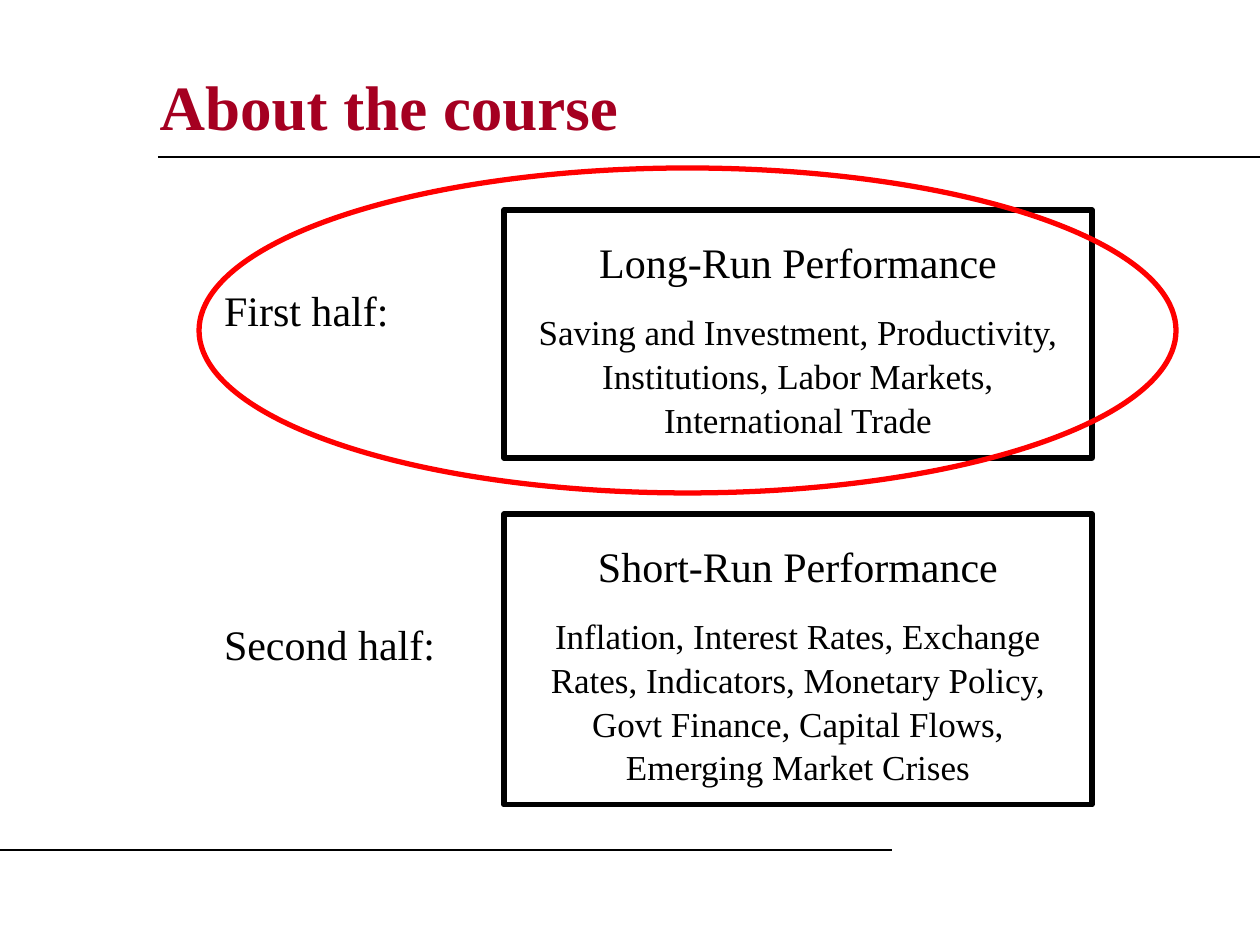
from dataclasses import dataclass

from lxml import etree
from pptx import Presentation
from pptx.dml.color import RGBColor
from pptx.enum.shapes import MSO_CONNECTOR, MSO_SHAPE
from pptx.enum.text import MSO_ANCHOR, PP_ALIGN
from pptx.oxml.ns import qn
from pptx.util import Emu, Pt

STRAIGHT = MSO_CONNECTOR.STRAIGHT
RECTANGLE, OVAL = MSO_SHAPE.RECTANGLE, MSO_SHAPE.OVAL
TOP, MIDDLE = MSO_ANCHOR.TOP, MSO_ANCHOR.MIDDLE
LEFT, CENTER = PP_ALIGN.LEFT, PP_ALIGN.CENTER

BLACK = RGBColor(0x00, 0x00, 0x00)
RED = RGBColor(0xFF, 0x00, 0x00)
CRIMSON = RGBColor(0xA5, 0x00, 0x21)
FONT = "Times New Roman"
EMU_PER_PX = 914400 // 126
INSET = 25


@dataclass(frozen=True)
class Box:
    left: int
    top: int
    width: int
    height: int


@dataclass(frozen=True)
class Half:
    label: str
    label_box: Box
    label_spacing: float
    heading: str
    topics: str
    topic_box: Box


HALVES = [
    Half("First half:", Box(199, 294, 294, 76), 0.5, "Long-Run Performance",
         "Saving and Investment, Productivity, Institutions, Labor Markets, "
         "International Trade", Box(504, 210, 588, 248)),
    Half("Second half:", Box(199, 592, 294, 101), 1.04, "Short-Run Performance",
         "Inflation, Interest Rates, Exchange Rates, Indicators, Monetary Policy, "
         "Govt Finance, Capital Flows, Emerging Market Crises",
         Box(504, 514, 588, 291)),
]
RULES = [Box(158, 157, 1102, 0), Box(0, 850, 892, 0)]
HIGHLIGHT = Box(199, 168, 977, 325)


def px(length: int) -> Emu:
    return Emu(length * EMU_PER_PX)


def place(box: Box) -> tuple[Emu, ...]:
    return px(box.left), px(box.top), px(box.width), px(box.height)


def apply(target, values: dict) -> None:
    for name, value in values.items():
        setattr(target, name, value)


def format_text(paragraph, text: str, size: int, align=LEFT, color=BLACK,
                bold=False, spacing=1.04, before=0) -> None:
    paragraph.text = text
    apply(paragraph, {"alignment": align, "line_spacing": spacing,
                      "space_before": Pt(before)})
    apply(paragraph.runs[0].font, {"name": FONT, "size": Pt(size), "bold": bold})
    paragraph.runs[0].font.color.rgb = color


def set_frame(frame, inset: int) -> None:
    apply(frame, {"word_wrap": True, "vertical_anchor": TOP,
                  "margin_left": px(inset), "margin_right": px(inset),
                  "margin_top": px(inset), "margin_bottom": px(inset)})


def add_outline(slide, kind, box: Box, color: RGBColor):
    shape = slide.shapes.add_shape(kind, *place(box))
    shape.shadow.inherit = False
    shape.fill.background()
    shape.line.color.rgb = color
    shape.line.width = Pt(3)
    return shape


def add_rule(slide, box: Box) -> None:
    line = slide.shapes.add_connector(
        STRAIGHT, px(box.left), px(box.top),
        px(box.left + box.width), px(box.top + box.height))
    line.line.color.rgb = BLACK
    line.line.width = Pt(0.75)
    etree.SubElement(line._element.spPr, qn("a:effectLst"))


def add_half(slide, half: Half) -> None:
    frame = add_outline(slide, RECTANGLE, half.topic_box, BLACK).text_frame
    set_frame(frame, INSET)
    format_text(frame.paragraphs[0], half.heading, 24, CENTER)
    format_text(frame.add_paragraph(), half.topics, 20, CENTER, before=12.5)

    label = slide.shapes.add_textbox(*place(half.label_box)).text_frame
    set_frame(label, INSET)
    format_text(label.paragraphs[0], half.label, 24, spacing=half.label_spacing)


def main() -> None:
    presentation = Presentation()
    presentation.slide_width, presentation.slide_height = px(1260), px(945)
    slide = presentation.slides.add_slide(presentation.slide_layouts[5])

    # Title
    title = slide.shapes.title
    apply(title, dict(zip(("left", "top", "width", "height"),
                          place(Box(147, 53, 1018, 105)))))
    title.text_frame.vertical_anchor = MIDDLE
    format_text(title.text_frame.paragraphs[0], "About the course", 36,
                color=CRIMSON, bold=True, spacing=1.0)

    # Rules above and below the content
    for rule in RULES:
        add_rule(slide, rule)

    # Course halves, with the first one circled
    for half in HALVES:
        add_half(slide, half)
    add_outline(slide, OVAL, HIGHLIGHT, RED)

    presentation.save("out.pptx")


if __name__ == "__main__":
    main()
